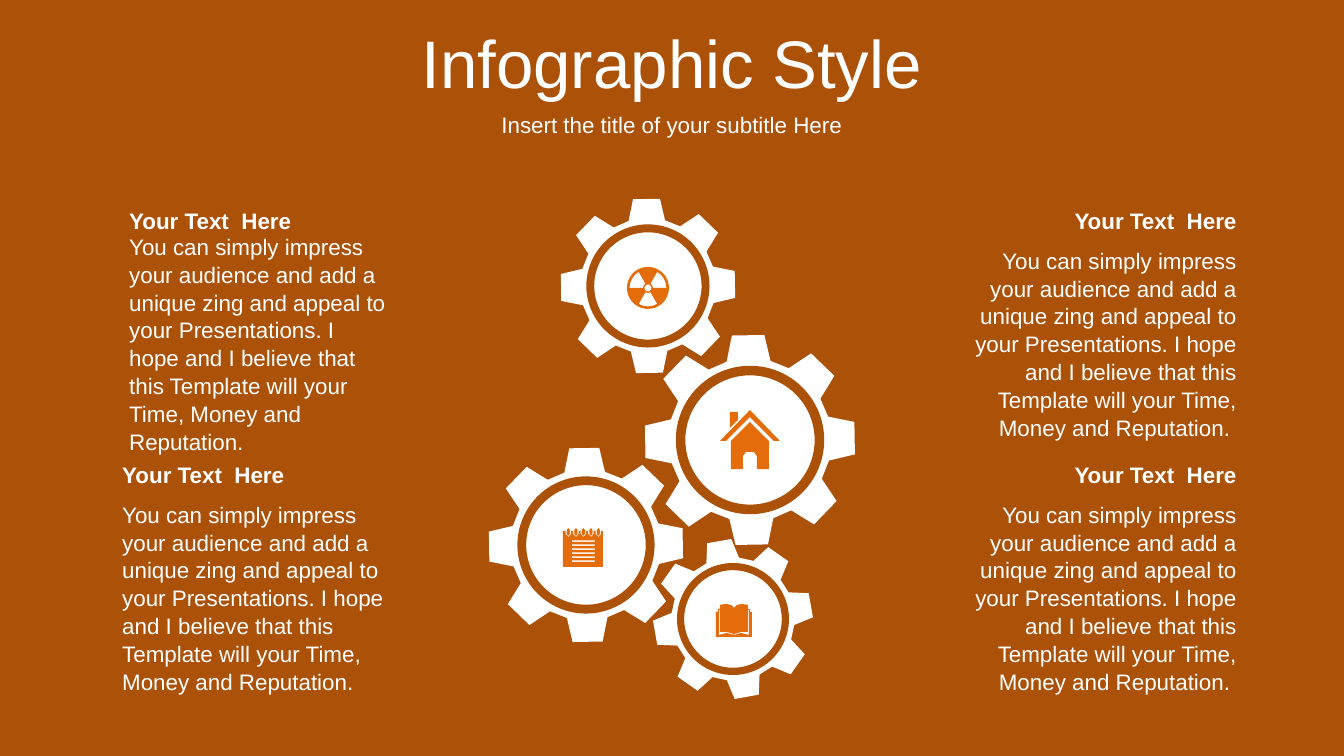
from math import cos, radians, sin

from pptx import Presentation
from pptx.dml.color import RGBColor
from pptx.enum.shapes import MSO_SHAPE
from pptx.enum.text import MSO_ANCHOR, PP_ALIGN
from pptx.util import Pt

PX = 914400 / 134.4
WIDTH, HEIGHT = 1344, 756
BROWN, ORANGE, WHITE = "AB5108", "E46C0A", "FFFFFF"

TITLE = "Infographic Style"
SUBTITLE = "Insert the title of your subtitle Here"
HEADING = "Your Text  Here"
BODY = ("You can simply impress your audience and add a unique zing and appeal to "
        "your Presentations. I hope and I believe that this Template will your "
        "Time, Money and Reputation.")

# left, top, width, alignment, ending
TEXT_BLOCKS = [
    (116, 200, 287, PP_ALIGN.LEFT, ""),
    (109, 454, 294, PP_ALIGN.LEFT, ""),
    (954, 200, 296, PP_ALIGN.RIGHT, " "),
    (954, 454, 296, PP_ALIGN.RIGHT, " "),
]
# centre x, centre y, tip radius, turn in degrees
GEARS = [
    (733, 619, 80, -10),
    (586, 545, 98, -1),
    (648, 286, 88, -1),
    (750, 440, 106, -1),
]
TEETH = 8
ROOT, RING_OUTER, RING_INNER = 0.77, 0.7, 0.61  # shares of the tip radius

HOUSE = [
    [(750, 422), (769, 441), (769, 469), (757, 469), (757, 456), (754, 452),
     (746, 452), (743, 456), (743, 469), (731, 469), (731, 441)],
    [(730, 412), (738, 412), (738, 420), (730, 428)],
    [(750, 410), (780, 441), (774, 441), (750, 417), (726, 441), (720, 441)],
]
BOOK_CENTRE = 734
# offsets from the spine, right half
BOOK_EDGE = [(0, 608), (3, 605), (8, 604), (14, 605), (14, 609), (16, 609),
             (16, 612), (18, 612), (18, 637)]
BOOK_GAP = [(0.5, 608), (0.5, 634), (7, 632), (14, 632), (14, 610), (15, 610),
            (15, 635), (7, 633), (0.5, 635)]


def polar(cx, cy, radius, degrees):
    a = radians(degrees)
    return cx + radius * cos(a), cy + radius * sin(a)


def ellipse(cx, cy, rx, ry, steps):
    angles = [radians(360 * i / steps) for i in range(steps)]
    return [(cx + rx * cos(a), cy + ry * sin(a)) for a in angles]


def rect(left, top, width, height):
    right, bottom = left + width, top + height
    return [(left, top), (right, top), (right, bottom), (left, bottom)]


def gear_outline(cx, cy, tip, turn):
    outline = []
    for i in range(TEETH):
        mid = turn - 90 + 360 / TEETH * i
        for share, offset in [(ROOT, -15.6), (1, -8.8), (1, 8.8), (ROOT, 15.6)]:
            outline.append(polar(cx, cy, tip * share, mid + offset))
    return outline


def radiation(cx, cy):
    contours = [ellipse(cx, cy, 21, 21, 36), ellipse(cx, cy, 3.5, 3.5, 12)]
    for mid in (90, 210, 330):
        outer = [polar(cx, cy, 18.5, mid + d) for d in (-30, -15, 0, 15, 30)]
        inner = [polar(cx, cy, 5, mid + d) for d in (30, 0, -30)]
        contours.append(outer + inner)
    return contours


def notepad(left, top):
    contours = [rect(left, top + 3, 40, 36)]
    contours += [rect(left + 9, top + 12.5 + 4 * i, 23, 1.5) for i in range(6)]
    for i in range(5):
        x = left + 5.5 + 7.5 * i
        contours.append([(x - 2.8, top + 3), (x + 2.8, top + 3), (x + 2.8, top + 6),
                         (x, top + 9), (x - 2.8, top + 6)])
        contours.append(ellipse(x, top + 4, 1.7, 3.8, 8))
    return contours


def book():
    right = [(BOOK_CENTRE + x, y) for x, y in BOOK_EDGE]
    left = [(BOOK_CENTRE - x, y) for x, y in reversed(BOOK_EDGE)]
    gaps = [[(BOOK_CENTRE + side * x, y) for x, y in BOOK_GAP] for side in (-1, 1)]
    return [right + left] + gaps


def rgb(color):
    return RGBColor.from_string(color)


def paint(sp, color):
    sp.shadow.inherit = False
    sp.fill.solid()
    sp.fill.fore_color.rgb = rgb(color)
    sp.line.fill.background()


def add_outline(s, contours, color):
    """Draw one shape from closed contours; inner contours cut holes."""
    scaled = [[(x * PX, y * PX) for x, y in c] for c in contours]
    builder = s.shapes.build_freeform(*scaled[0][0])
    for i, points in enumerate(scaled):
        if i:
            builder.move_to(*points[0])
        builder.add_line_segments(points[1:], close=True)
    paint(builder.convert_to_shape(), color)


def add_ring(s, cx, cy, tip):
    r = tip * RING_OUTER
    box = (cx - r, cy - r, 2 * r, 2 * r)
    sp = s.shapes.add_shape(MSO_SHAPE.DONUT, *(round(v * PX) for v in box))
    sp.adjustments[0] = (RING_OUTER - RING_INNER) / (2 * RING_OUTER)
    paint(sp, BROWN)


def add_text(s, box, text, align, size=12, bold=False, before=0, spacing=1.0):
    tb = s.shapes.add_textbox(*(round(v * PX) for v in box))
    tf = tb.text_frame
    tf.word_wrap = True
    tf.vertical_anchor = MSO_ANCHOR.MIDDLE
    tf.text = text
    p = tf.paragraphs[0]
    p.alignment = align
    p.space_before = Pt(before)
    p.line_spacing = spacing
    font = p.runs[0].font
    font.name, font.size, font.bold = "Arial", Pt(size), bold
    font.color.rgb = rgb(WHITE)


prs = Presentation()
prs.slide_width, prs.slide_height = round(WIDTH * PX), round(HEIGHT * PX)
s = prs.slides.add_slide(prs.slide_layouts[6])
s.background.fill.solid()
s.background.fill.fore_color.rgb = rgb(BROWN)

add_text(s, (0, 19, WIDTH, 85), TITLE, PP_ALIGN.CENTER, size=36, before=5)
add_text(s, (0, 104, WIDTH, 41), SUBTITLE, PP_ALIGN.CENTER)

for cx, cy, tip, turn in GEARS:
    add_outline(s, [gear_outline(cx, cy, tip, turn)], WHITE)
    add_ring(s, cx, cy, tip)
for icon in (book(), notepad(563, 528), radiation(648, 288), HOUSE):
    add_outline(s, icon, ORANGE)

for left, top, width, align, ending in TEXT_BLOCKS:
    add_text(s, (left, top, width, 41), HEADING, align, bold=True)
    add_text(s, (left, top + 42, width, 203), BODY + ending, align, spacing=1.04)

prs.save("out.pptx")
